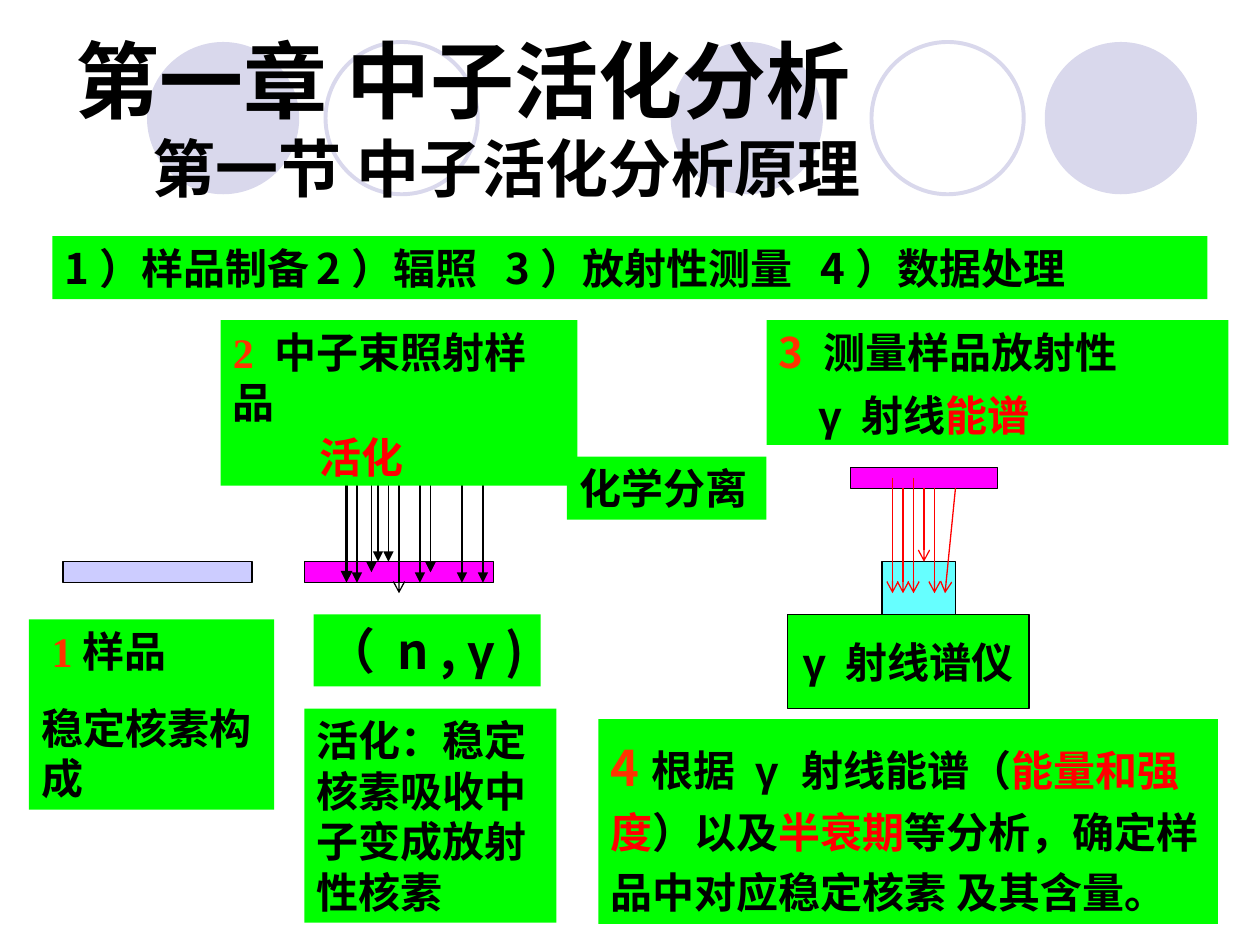
from lxml.etree import SubElement
from pptx import Presentation
from pptx.dml.color import RGBColor
from pptx.enum.shapes import MSO_CONNECTOR, MSO_SHAPE
from pptx.enum.text import MSO_ANCHOR, MSO_AUTO_SIZE, PP_ALIGN
from pptx.oxml.ns import qn
from pptx.util import Pt

PX = 9525
SANS, SERIF, LATIN = "Noto Sans CJK SC", "Times New Roman", "Arial"
BLACK, RED, ORANGE = "000000", "FF0000", "FF3300"
GREEN, MAGENTA, LILAC = "00FF00", "FF00FF", "D9D8EC"

CIRCLE_TOP, CIRCLE_SIZE = 32, 116
CIRCLES = [(511, True), (796, True), (112, True), (664, False), (248, False)]

PLATES = {
    "irradiated": ((232, 428, 144, 16), MAGENTA),
    "active": ((648, 356, 112, 16), MAGENTA),
    "detector": ((672, 428, 56, 48), "66FFFF"),
    "stable": ((48, 428, 144, 16), "CCCCFF"),
}

# x from, y from, x to, y to, width, arrowhead
NEUTRONS = [
    (304, 332, 304, 452, 0.75, "arrow"),
    *[(x, top, x, end, width, "triangle") for x, top, end, width in [
        (272, 324, 444, 0.75), (320, 316, 444, 0.75), (288, 300, 428, 0.75),
        (296, 332, 428, 0.75), (328, 332, 436, 0.75), (368, 332, 444, 1.5),
        (264, 332, 444, 2.25), (283, 332, 436, 0.75), (328, 404, 436, 0.75),
        (352, 324, 444, 0.75)]],
]
CENTRAL_GAMMA = (704, 372, 704, 428, 0.75, "arrow")
GAMMAS = [(x, top, end, 452, 0.75, "arrow") for x, top, end in [
    (680, 364, 680), (688, 372, 688), (712, 372, 712), (728, 372, 720), (696, 364, 696)]]

# Paragraph: format, then runs of text, font, colour and, where it differs, size
TITLE = [
    ({"size": 48, "before": 0}, [("第一章 中子活化分析", LATIN, BLACK)]),
    ({"size": 36, "before": 0, "indent": 59}, [("第一节 中子活化分析原理", LATIN, BLACK)]),
]
LABELS = [
    ((584, 244, 352, 95), {}, [
        ({}, [("3 ", SANS, ORANGE), ("测量样品放射性", SANS, BLACK)]),
        ({"spacing": 0.7, "indent": 30},
         [("γ", LATIN, BLACK), (" 射线", SANS, BLACK), ("能谱", SANS, RED)])]),
    ((456, 548, 472, 156), {}, [
        ({"spacing": 1.2}, [
            ("4", SANS, ORANGE, 28), ("根据 ", SANS, BLACK), ("γ", LATIN, BLACK),
            (" ", SANS, BLACK, 28), ("射线能谱（", SANS, BLACK), ("能量和强度", SANS, RED),
            ("）以及", SANS, BLACK), ("半衰期", SANS, RED), ("等分析，", SANS, BLACK),
            ("确定样品中对应稳定核素 及其含量。", SERIF, BLACK)])]),
    ((22, 472, 187, 145), {}, [
        ({}, [(" 1", SERIF, ORANGE), ("样品", SERIF, BLACK)]),
        ({}, [("稳定核素构成", SERIF, BLACK)])]),
    ((232, 540, 192, 163), {}, [
        ({}, [("活化：稳定核素吸收中子变成放射性核素", SERIF, BLACK)])]),
    ((600, 468, 184, 72), {"outline": True, "wrap": False, "grow": False}, [
        ({"before": 0, "align": PP_ALIGN.CENTER},
         [("γ", LATIN, BLACK), (" 射线谱仪", SANS, BLACK)])]),
    ((40, 180, 880, 48), {}, [
        ({"tabs": (216, 375, 616)},
         [("1）样品制备\t2）辐照\t3）放射性测量\t4）数据处理", SANS, BLACK)])]),
    ((239, 468, 173, 55), {"wrap": False}, [
        ({"size": 28, "before": 0},
         [("（ n , ", SANS, BLACK), ("γ", LATIN, BLACK), (" )", SANS, BLACK)])]),
    ((168, 244, 272, 126), {}, [
        ({}, [("2 ", SERIF, ORANGE), ("中子束照射样品", SERIF, BLACK)]),
        ({"spacing": 0.5, "indent": 66}, [("活化", SERIF, RED)])]),
    ((432, 348, 152, 48), {}, [({}, [("化学分离", SERIF, BLACK)])]),
]


def rgb(value):
    return RGBColor.from_string(value)


def scaled(lengths):
    return [length * PX for length in lengths]


def add_block(slide, preset, box, fill=None, line=None, width=0.75):
    block = slide.shapes.add_shape(preset, *scaled(box))
    block.shadow.inherit = False
    if fill:
        block.fill.solid()
        block.fill.fore_color.rgb = rgb(fill)
    else:
        block.fill.background()
    if line:
        block.line.color.rgb = rgb(line)
        block.line.width = Pt(width)
    else:
        block.line.fill.background()
    return block


def add_ray(slide, ray, colour):
    *ends, width, head = ray
    beam = slide.shapes.add_connector(MSO_CONNECTOR.STRAIGHT, *scaled(ends))
    beam.line.color.rgb = rgb(colour)
    beam.line.width = Pt(width)
    properties = beam.element.spPr
    SubElement(properties.find(qn("a:ln")), qn("a:tailEnd"), type=head)
    SubElement(properties, qn("a:effectLst"))
    return beam


def write_paragraph(paragraph, form, runs):
    properties = paragraph._p.get_or_add_pPr()
    properties.set("marL", str(form.get("indent", 0) * PX))
    properties.set("indent", "0")
    if "tabs" in form:
        stops = SubElement(properties, qn("a:tabLst"))
        for stop in form["tabs"]:
            SubElement(stops, qn("a:tab"), pos=str(stop * PX), algn="l")
    paragraph.alignment = form.get("align", PP_ALIGN.LEFT)
    paragraph.space_before = Pt(form.get("before", 15))
    paragraph.line_spacing = form.get("spacing", 1.0)
    paragraph.font.size = Pt(form.get("size", 24))
    paragraph.font.bold = True
    for text, face, colour, *size in runs:
        run = paragraph.add_run()
        run.text = text
        run.font.name = face
        run.font.color.rgb = rgb(colour)
        if size:
            run.font.size = Pt(size[0])
        SubElement(run.font._element, qn("a:ea"), typeface=SANS)


def write_text(frame, paragraphs, anchor, wrap=True, grow=False):
    frame.word_wrap = wrap
    frame.vertical_anchor = anchor
    frame.auto_size = MSO_AUTO_SIZE.SHAPE_TO_FIT_TEXT if grow else MSO_AUTO_SIZE.NONE
    for index, (form, runs) in enumerate(paragraphs):
        paragraph = frame.add_paragraph() if index else frame.paragraphs[0]
        write_paragraph(paragraph, form, runs)


def main():
    """Build the neutron activation analysis slide."""
    deck = Presentation()
    deck.slide_width, deck.slide_height = scaled((960, 720))
    slide = deck.slides.add_slide(deck.slide_layouts[6])

    for left, solid in CIRCLES:
        box = (left, CIRCLE_TOP, CIRCLE_SIZE, CIRCLE_SIZE)
        add_block(slide, MSO_SHAPE.OVAL, box, LILAC if solid else None,
                  None if solid else LILAC, 2.25)

    title = slide.shapes.add_textbox(*scaled((48, 29, 890, 120)))
    write_text(title.text_frame, TITLE, MSO_ANCHOR.MIDDLE)

    plates = {part: add_block(slide, MSO_SHAPE.RECTANGLE, box, fill, BLACK)
              for part, (box, fill) in PLATES.items()}
    for ray in NEUTRONS:
        add_ray(slide, ray, BLACK)

    for box, style, paragraphs in LABELS:
        label = add_block(slide, MSO_SHAPE.RECTANGLE, box, GREEN,
                          BLACK if style.get("outline") else None)
        anchor = MSO_ANCHOR.MIDDLE if style.get("outline") else MSO_ANCHOR.TOP
        write_text(label.text_frame, paragraphs, anchor,
                   style.get("wrap", True), style.get("grow", True))

    add_ray(slide, CENTRAL_GAMMA, RED).begin_connect(plates["active"], 2)
    for ray in GAMMAS:
        add_ray(slide, ray, RED)

    deck.save("out.pptx")


if __name__ == "__main__":
    main()
